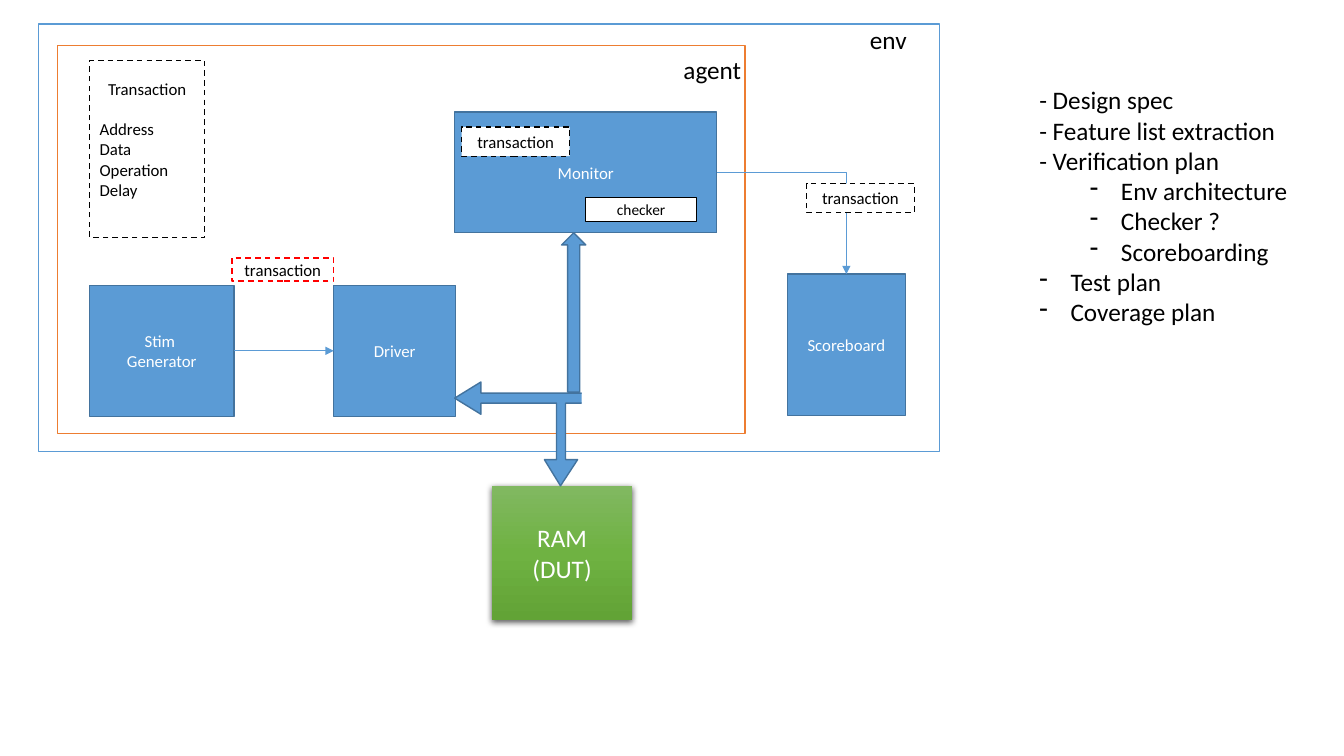
from copy import deepcopy
from dataclasses import dataclass

from lxml.etree import SubElement
from pptx import Presentation
from pptx.dml.color import RGBColor
from pptx.enum.dml import MSO_LINE
from pptx.enum.shapes import MSO_CONNECTOR, MSO_SHAPE
from pptx.enum.text import MSO_ANCHOR, MSO_AUTO_SIZE, PP_ALIGN
from pptx.oxml.ns import qn
from pptx.shapes.autoshape import Shape
from pptx.shapes.connector import Connector
from pptx.text.text import TextFrame
from pptx.util import Inches, Pt

COLORS = {
    "white": "FFFFFF", "black": "000000", "red": "FF0000",
    "blue": "5B9BD5", "navy": "43739E", "orange": "ED7D31",
    "light": "81B861", "green": "6FB242", "dark": "62A336",
}
RIGHT, LEFT, TOP = 3, 1, 0


@dataclass
class Box:
    left: float
    top: float
    width: float
    height: float
    text: str = ""
    fill: str = "blue"
    line: str = "navy"
    ink: str = "white"
    size: float = 12
    dash: bool = False
    kind: MSO_SHAPE = MSO_SHAPE.RECTANGLE


@dataclass
class Label:
    left: float
    top: float
    width: float
    height: float
    text: str


def color(name: str) -> RGBColor:
    return RGBColor.from_string(COLORS[name])


def write(frame: TextFrame, text: str, size: float, ink: str, align: PP_ALIGN) -> None:
    frame.text = text
    for para in frame.paragraphs:
        para.alignment = align
        for run in para.runs:
            run.font.name = "Calibri"
            run.font.size = Pt(size)
            run.font.color.rgb = color(ink)


def paint(shape: Shape, fill: str, line: str) -> None:
    shape.shadow.inherit = False
    shape.fill.solid()
    shape.fill.fore_color.rgb = color(fill)
    shape.line.color.rgb = color(line)
    shape.line.width = Pt(1)


def draw_box(box: Box) -> Shape:
    shape = shapes.add_shape(box.kind, Inches(box.left), Inches(box.top),
                             Inches(box.width), Inches(box.height))
    paint(shape, box.fill, box.line)
    if box.dash:
        shape.line.dash_style = MSO_LINE.DASH
    if box.text:
        frame = shape.text_frame
        frame.vertical_anchor = MSO_ANCHOR.MIDDLE
        write(frame, box.text, box.size, box.ink, PP_ALIGN.CENTER)
    return shape


def draw_label(label: Label) -> TextFrame:
    frame = shapes.add_textbox(Inches(label.left), Inches(label.top),
                               Inches(label.width), Inches(label.height)).text_frame
    frame.word_wrap = False
    frame.auto_size = MSO_AUTO_SIZE.SHAPE_TO_FIT_TEXT
    write(frame, label.text, 18, "black", PP_ALIGN.LEFT)
    return frame


def link(start: Shape, end: Shape, site: int, kind: MSO_CONNECTOR) -> Connector:
    wire = shapes.add_connector(kind, 0, 0, 0, 0)
    wire.begin_connect(start, RIGHT)
    wire.end_connect(end, site)
    wire.line.color.rgb = color("blue")
    wire.line.width = Pt(0.5)
    SubElement(wire.line._get_or_add_ln(), qn("a:tailEnd"), type="triangle")
    SubElement(wire._element.spPr, qn("a:effectLst"))
    return wire


def shade(shape: Shape) -> None:
    shape.line.fill.background()
    shape.fill.gradient()
    shape.fill.gradient_angle = 270
    props = shape._element.spPr
    stops = props.find(qn("a:gradFill")).find(qn("a:gsLst"))
    stops.insert(1, deepcopy(stops[0]))
    for stop, name, place in zip(shape.fill.gradient_stops,
                                 ("light", "green", "dark"), (0, 0.5, 1)):
        stop.color.rgb = color(name)
        stop.position = place
    glow = SubElement(props.find(qn("a:effectLst")), qn("a:outerShdw"),
                      blurRad=str(Pt(4.5)), dist=str(Pt(1.5)), dir="5400000",
                      algn="ctr", rotWithShape="0")
    tint = SubElement(glow, qn("a:srgbClr"), val=COLORS["black"])
    SubElement(tint, qn("a:alpha"), val="63000")


def draw_bus() -> None:
    points = [(5.77, 3.9), (4.77, 3.9), (4.77, 3.79), (4.51, 3.95), (4.77, 4.11),
              (4.77, 4), (5.52, 4), (5.52, 4.56), (5.4, 4.56), (5.56, 4.82),
              (5.73, 4.56), (5.61, 4.56), (5.61, 4), (5.77, 4)]
    spots = [(Inches(x), Inches(y)) for x, y in points]
    pen = shapes.build_freeform(*spots[0])
    pen.add_line_segments(spots[1:], close=False)
    paint(pen.convert_to_shape(), "blue", "navy")


def add_dash(para, left: float, level: int) -> None:
    para.level = level
    props = para._p.get_or_add_pPr()
    props.set("marL", str(Inches(left)))
    props.set("indent", str(Inches(-0.31)))
    SubElement(props, qn("a:buFontTx"))
    SubElement(props, qn("a:buChar"), char="-")


def note(left: float, top: float, width: float, height: float,
         text: str = "transaction", line: str = "black",
         size: float = 12, dash: bool = True) -> Shape:
    return draw_box(Box(left, top, width, height, text, "white", line,
                        "black", size, dash))


deck = Presentation()
deck.slide_width, deck.slide_height = Inches(13.33), Inches(7.5)
shapes = deck.slides.add_slide(deck.slide_layouts[6]).shapes

draw_box(Box(0.38, 0.24, 8.94, 4.24, fill="white", line="blue"))
draw_box(Box(0.57, 0.45, 6.82, 3.85, fill="white", line="orange"))
stim = draw_box(Box(0.89, 2.83, 1.43, 1.3, "Stim \nGenerator"))
shade(draw_box(Box(4.88, 4.82, 1.39, 1.33, "RAM\n(DUT)", size=18)))
driver = draw_box(Box(3.31, 2.83, 1.21, 1.3, "Driver"))
score = draw_box(Box(7.81, 2.72, 1.17, 1.4, "Scoreboard"))
watch = draw_box(Box(4.51, 1.11, 2.6, 1.2, "Monitor"))

fields = note(0.89, 0.6, 1.14, 1.76,
              "Transaction\nAddress\nData\nOperation\nDelay").text_frame
fields.margin_bottom = Inches(0.25)
fields.paragraphs[0].space_after = Pt(14.6)
for para in fields.paragraphs[1:]:
    para.alignment = PP_ALIGN.LEFT

note(2.3, 2.56, 1.01, 0.23, line="red")
note(4.58, 1.26, 1.07, 0.29)
note(5.81, 1.96, 1.1, 0.24, "checker", size=11, dash=False)

bend = link(watch, score, TOP, MSO_CONNECTOR.ELBOW)
bend._element.spPr.find(qn("a:prstGeom")).set("prst", "bentConnector2")
link(stim, driver, LEFT, MSO_CONNECTOR.STRAIGHT)
note(8, 1.82, 1.07, 0.29)

draw_bus()
draw_box(Box(5.57, 2.31, 0.24, 1.58, kind=MSO_SHAPE.UP_ARROW))
draw_label(Label(6.68, 0.49, 0.78, 0.4, "agent"))
draw_label(Label(8.53, 0.19, 0.57, 0.4, "env"))

steps = ["- Design spec", "- Feature list extraction", "- Verification plan",
         "Env architecture", "Checker ?", "Scoreboarding", "Test plan", "Coverage plan"]
plan = draw_label(Label(10.21, 0.79, 2.69, 2.52, "\n".join(steps))).paragraphs
for para in plan[3:6]:
    add_dash(para, 0.81, 1)
for para in plan[6:]:
    add_dash(para, 0.31, 0)

deck.save("out.pptx")
